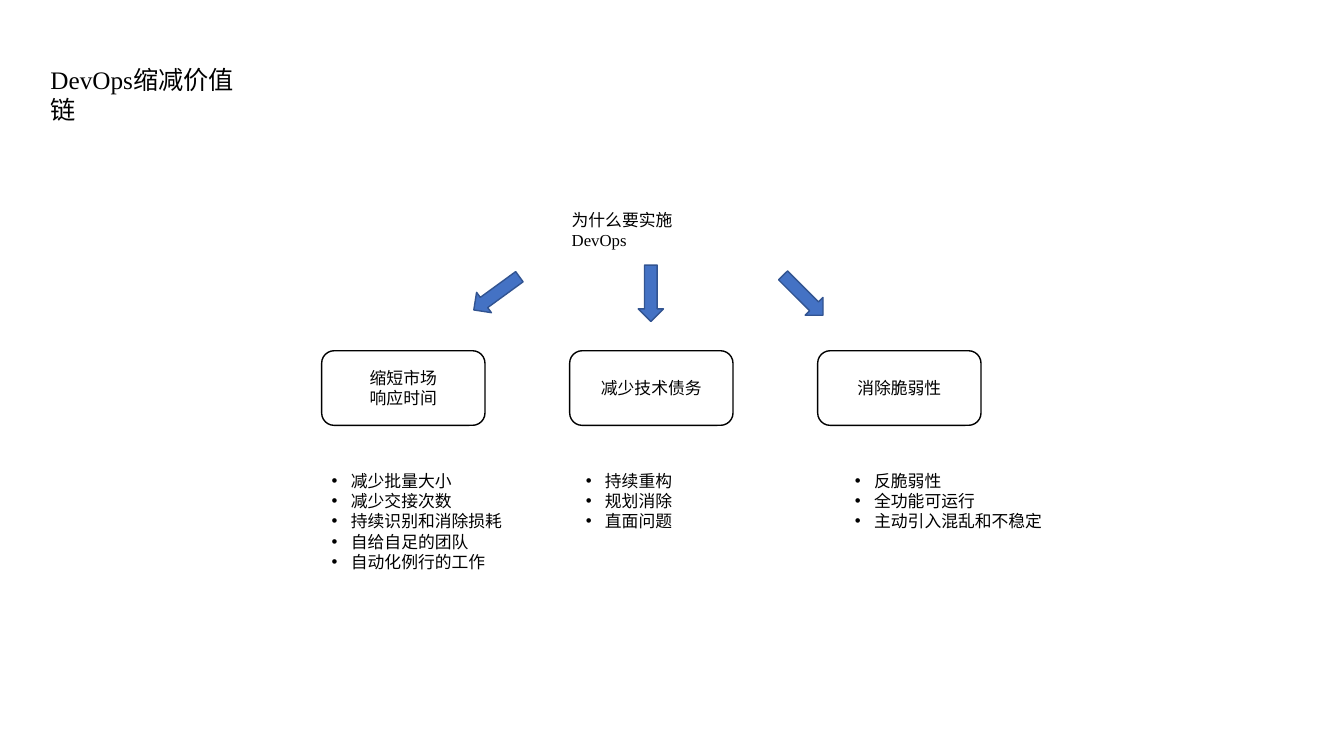
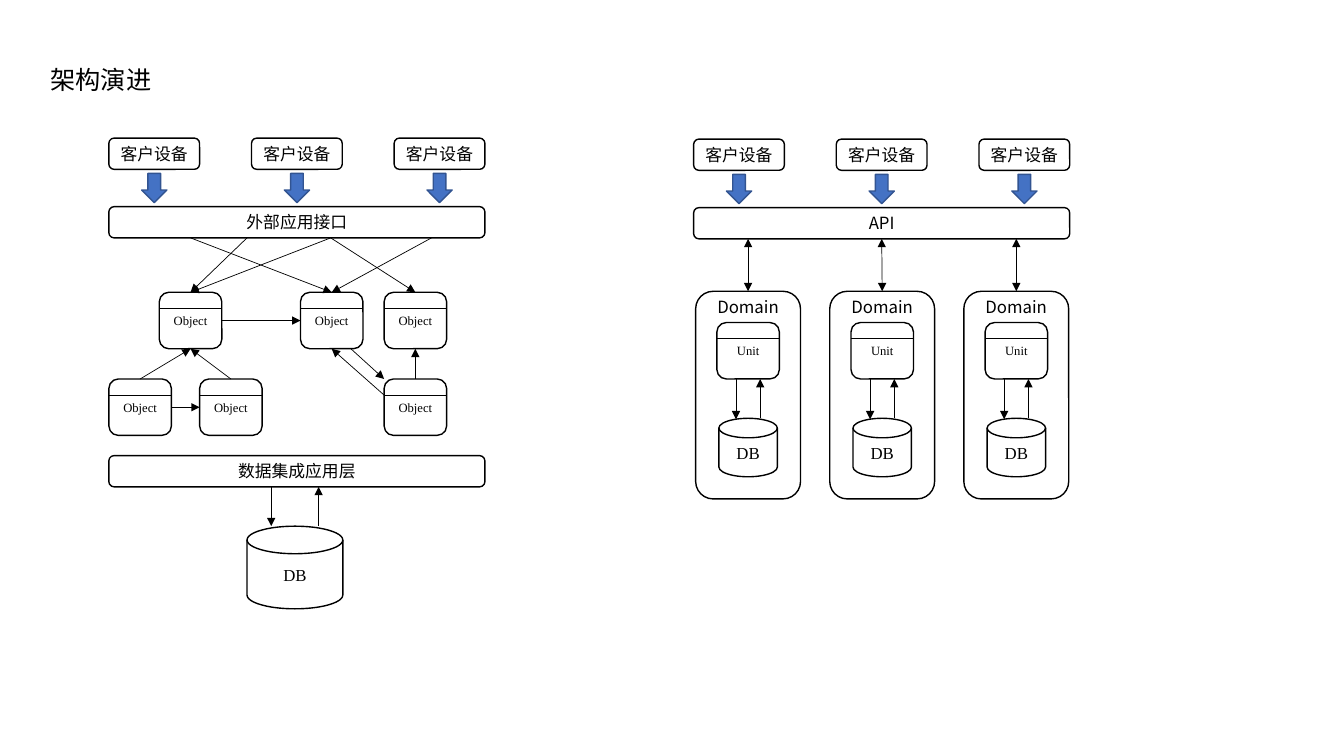
import pptx
import pptx.dml.color
import pptx.enum.shapes
import pptx.enum.text
import pptx.oxml.ns
import pptx.shapes.autoshape
import pptx.util
from lxml import etree

Inches, Pt = pptx.util.Inches, pptx.util.Pt
Preset = pptx.enum.shapes.MSO_SHAPE
Align = pptx.enum.text.PP_ALIGN
Anchor = pptx.enum.text.MSO_ANCHOR
qn = pptx.oxml.ns.qn

COLORS = {"ink": "000000", "paper": "FFFFFF", "arrow": "4472C4", "arrow_edge": "325491"}
SANS, SERIF = "Noto Sans CJK SC", "Times New Roman"
TOP, LEFT, BOTTOM, RIGHT = range(4)


class Deck:
    """Holds the shared style and the slide being drawn."""

    def __init__(self):
        self.file = pptx.Presentation()
        self.file.slide_width, self.file.slide_height = Inches(13.33), Inches(7.5)
        self.slide = None

    def color(self, name):
        return pptx.dml.color.RGBColor.from_string(COLORS[name])

    def start(self, layout, title_runs, width):
        self.slide = self.file.slides.add_slide(self.file.slide_layouts[layout])
        self.fill_placeholder(0, (0.4, 0.59, width, 0.7), [title_runs], size=18, font=SERIF)

    def add_text(self, frame, paragraphs, size=12, font=SANS, align=Align.LEFT, bullet=False):
        """Add paragraphs, each a list of runs."""
        for index, runs in enumerate(paragraphs):
            line = frame.add_paragraph() if index else frame.paragraphs[0]
            line.alignment = align
            line.line_spacing = Pt(size * 1.2)
            line.space_before = Pt(0)
            props = line._p.get_or_add_pPr()
            indent = Inches(0.19) if bullet else 0
            props.set("marL", str(indent))
            props.set("indent", str(-indent))
            if bullet:
                etree.SubElement(props, qn("a:buFont")).set("typeface", "Arial")
                etree.SubElement(props, qn("a:buChar")).set("char", "•")
            for words in runs:
                run = line.add_run()
                run.text = words
                run.font.size, run.font.name, run.font.bold = Pt(size), font, False
                run.font.color.rgb = self.color("ink")
                east_asian = etree.SubElement(run._r.get_or_add_rPr(), qn("a:ea"))
                east_asian.set("typeface", SANS)

    def fill_placeholder(self, index, box, paragraphs, **style):
        holder = self.slide.placeholders[index]
        holder.left, holder.top, holder.width, holder.height = map(Inches, box)
        frame = holder.text_frame
        frame.word_wrap = True
        frame.auto_size = pptx.enum.text.MSO_AUTO_SIZE.NONE
        frame.vertical_anchor = Anchor.TOP
        self.add_text(frame, paragraphs, **style)

    def shape(self, preset, box, fill="paper", edge="ink"):
        shape = self.slide.shapes.add_shape(preset, *map(Inches, box))
        shape.shadow.inherit = False
        shape.fill.solid()
        shape.fill.fore_color.rgb = self.color(fill)
        shape.line.color.rgb = self.color(edge)
        shape.line.width = Pt(1)
        return shape

    def label(self, box, *lines, preset=Preset.ROUNDED_RECTANGLE, anchor=Anchor.MIDDLE, **style):
        """Add an outlined shape with centred text."""
        shape = self.shape(preset, box)
        frame = shape.text_frame
        frame.word_wrap = True
        frame.margin_left = frame.margin_right = frame.margin_top = frame.margin_bottom = 0
        frame.vertical_anchor = anchor
        self.add_text(frame, [[line] for line in lines], align=Align.CENTER, **style)
        return shape

    def database(self, box):
        self.label(box, "DB", preset=Preset.FLOWCHART_MAGNETIC_DISK, font=SERIF)

    def block_arrow(self, left, top, height, rotation=0):
        arrow = self.shape(Preset.DOWN_ARROW, (left, top, 0.25, height), "arrow", "arrow_edge")
        arrow.rotation = rotation

    def link(self, start, finish, width=0.5, heads=("tailEnd",)):
        """Draw a line; each end is an (x, y) point or a (shape, side) pair."""
        def joined(end):
            return isinstance(end[0], pptx.shapes.autoshape.Shape)

        points = [(0, 0) if joined(end) else tuple(map(Inches, end)) for end in (start, finish)]
        line = self.slide.shapes.add_connector(
            pptx.enum.shapes.MSO_CONNECTOR.STRAIGHT, *points[0], *points[1])
        if joined(start):
            line.begin_connect(*start)
        if joined(finish):
            line.end_connect(*finish)
        line.line.color.rgb = self.color("ink")
        line.line.width = Pt(width)
        for head in heads:
            etree.SubElement(line.line._get_or_add_ln(), qn("a:" + head)).set("type", "triangle")
        etree.SubElement(line._element.spPr, qn("a:effectLst"))

    def component(self, left, top, name):
        """Add a small box with a header rule."""
        box = self.label((left, top, 0.62, 0.56), name, size=9, font=SERIF)
        self.link((left, top + 0.16), (left + 0.62, top + 0.16), heads=())
        return box

    def client_row(self, left, top, interface):
        """Add three client devices feeding one interface bar, and return the bar."""
        for column in range(3):
            x = left + column * 1.415
            self.label((x, top, 0.9, 0.31), "客户设备")
            self.block_arrow(x + 0.325, top + 0.35, 0.29)
        return self.label((left, top + 0.68, 3.73, 0.31), interface)


def value_chain(deck):
    deck.start(4, ["DevOps", "缩减价值链"], 2.25)
    deck.fill_placeholder(1, (5.57, 2.03, 1.7, 0.5), [["为什么要实施DevOps"]], font=SERIF)
    goals = [
        (["缩短市场", "响应时间"], (4.8, 2.63, 0.56, 53.9), 3.19,
         ["减少批量大小", "减少交接次数", "持续识别和消除损耗", "自给自足的团队", "自动化例行的工作"]),
        (["减少技术债务"], (6.33, 2.63, 0.56, 0), 5.71, ["持续重构", "规划消除", "直面问题"]),
        (["消除脆弱性"], (7.84, 2.65, 0.56, 315), 8.38,
         ["反脆弱性", "全功能可运行", "主动引入混乱和不稳定"]),
    ]
    for column, (goal, arrow, list_left, measures) in enumerate(goals):
        deck.label((3.19 + column * 2.46, 3.48, 1.62, 0.74), *goal)
        deck.block_arrow(*arrow)
        deck.fill_placeholder(column + 2, (list_left, 4.62, 2.1, 1.11),
                              [[measure] for measure in measures], bullet=True)


def layered_architecture(deck):
    deck.client_row(1.08, 1.37, "外部应用接口")
    deck.label((1.08, 4.52, 3.73, 0.31), "数据集成应用层")
    deck.database((2.45, 5.22, 0.95, 0.82))
    upper_left, upper_mid, upper_right = [
        deck.component(x, 2.9, "Object") for x in (1.58, 2.98, 3.81)]
    lower_left, lower_mid, lower_right = [
        deck.component(x, 3.76, "Object") for x in (1.08, 1.98, 3.81)]
    links = [
        ((lower_left, TOP), (upper_left, BOTTOM)),
        ((lower_mid, TOP), (upper_left, BOTTOM)),
        ((upper_left, RIGHT), (upper_mid, LEFT)),
        ((lower_right, TOP), (upper_right, BOTTOM)),
        ((lower_left, RIGHT), (lower_mid, LEFT)),
        ((3.48, 3.46), (3.81, 3.76)),
        ((3.81, 3.92), (upper_mid, BOTTOM)),
    ]
    calls = [(2.45, upper_left), (1.89, upper_mid), (3.28, upper_right),
             (4.28, upper_mid), (3.28, upper_left)]
    links += [((x, 2.36), (target, TOP)) for x, target in calls]
    for start, finish in links:
        deck.link(start, finish)
    deck.link((2.69, 4.83), (2.69, 5.22), width=1)
    deck.link((3.16, 5.22), (3.16, 4.83), width=1)


def domain_architecture(deck):
    api = deck.client_row(6.88, 1.38, "API")
    for column in range(3):
        left = 6.9 + column * 1.33
        domain = deck.label((left, 2.89, 1.04, 2.06), "Domain", anchor=Anchor.TOP)
        deck.component(left + 0.21, 3.2, "Unit")
        deck.database((left + 0.23, 4.15, 0.58, 0.58))
        deck.link((left + 0.4, 3.76), (left + 0.4, 4.16))
        deck.link((left + 0.64, 4.15), (left + 0.64, 3.76))
        api_end = (api, BOTTOM) if column == 1 else (left + 0.52, 2.37)
        deck.link(api_end, (domain, TOP), heads=("headEnd", "tailEnd"))


def main():
    deck = Deck()
    value_chain(deck)
    deck.start(5, ["架构演进"], 2.25)
    layered_architecture(deck)
    domain_architecture(deck)
    deck.file.save("out.pptx")


if __name__ == "__main__":
    main()
